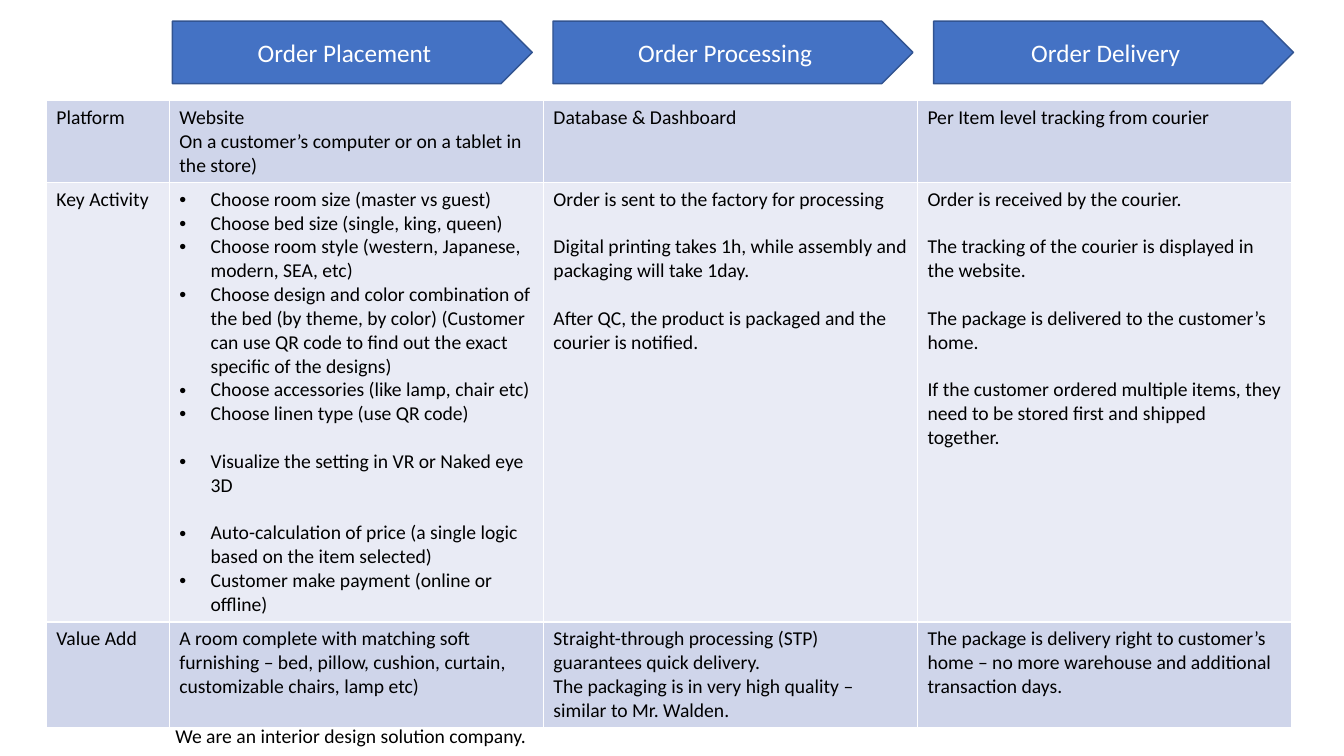
from lxml import etree
from pptx import Presentation
from pptx.dml.color import RGBColor
from pptx.enum import shapes, text
from pptx.oxml import ns
from pptx.util import Inches, Pt

COLORS = {
    "arrow": "4472C4",
    "arrow_line": "325491",
    "band_dark": "CFD5EA",
    "band_light": "E9EBF5",
    "white": "FFFFFF",
    "black": "000000",
}
STAGES = ["Order Placement", "Order Processing", "Order Delivery"]
COLUMN_WIDTHS = [1.22, 3.71, 3.71, 3.71]
ROW_HEIGHTS = [0.81, 4.36, 1.05]
BULLETED_CELL = (1, 1)
GROUP_GAP = Pt(17)

ROWS = [
    [
        [["Platform"]],
        [["Website", "On a customer’s computer or on a tablet in the store)"]],
        [["Database & Dashboard"]],
        [["Per Item level tracking from courier"]],
    ],
    [
        [["Key Activity"]],
        [
            [
                "Choose room size (master vs guest)",
                "Choose bed size (single, king, queen)",
                "Choose room style (western, Japanese, modern, SEA, etc)",
                "Choose design and color combination of the bed (by theme, by color) "
                "(Customer can use QR code to find out the exact specific of the designs)",
                "Choose accessories (like lamp, chair etc)",
                "Choose linen type (use QR code)",
            ],
            ["Visualize the setting in VR or Naked eye 3D"],
            [
                "Auto-calculation of price (a single logic based on the item selected)",
                "Customer make payment (online or offline)",
            ],
        ],
        [
            ["Order is sent to the factory for processing"],
            ["Digital printing takes 1h, while assembly and packaging will take 1day."],
            ["After QC, the product is packaged and the courier is notified."],
        ],
        [
            ["Order is received by the courier."],
            ["The tracking of the courier is displayed in the website."],
            ["The package is delivered to the customer’s home."],
            ["If the customer ordered multiple items, they need to be stored first "
             "and shipped together."],
        ],
    ],
    [
        [["Value Add"]],
        [["A room complete with matching soft furnishing – bed, pillow, cushion, "
          "curtain, customizable chairs, lamp etc)"]],
        [[
            "Straight-through processing (STP) guarantees quick delivery.",
            "The packaging is in very high quality – similar to Mr. Walden.",
        ]],
        [["The package is delivery right to customer’s home – no more warehouse "
          "and additional transaction days."]],
    ],
]


def set_font(paragraph, size, color):
    paragraph.font.name = "Calibri"
    paragraph.font.size = Pt(size)
    paragraph.font.color.rgb = RGBColor.from_string(COLORS[color])


def add_bullet(paragraph):
    properties = paragraph._p.get_or_add_pPr()
    properties.set("marL", str(Inches(0.31)))
    properties.set("indent", str(-Inches(0.31)))
    etree.SubElement(properties, ns.qn("a:buFont")).set("typeface", "Arial")
    etree.SubElement(properties, ns.qn("a:buChar")).set("char", "•")


presentation = Presentation()
presentation.slide_width = Inches(13.33)
presentation.slide_height = Inches(7.5)
slide = presentation.slides.add_slide(presentation.slide_layouts[6])

for index, stage in enumerate(STAGES):
    arrow = slide.shapes.add_shape(
        shapes.MSO_SHAPE.PENTAGON,
        Inches(1.71 + index * 3.775), Inches(0.21), Inches(3.57), Inches(0.62),
    )
    arrow.shadow.inherit = False
    arrow.fill.solid()
    arrow.fill.fore_color.rgb = RGBColor.from_string(COLORS["arrow"])
    arrow.line.color.rgb = RGBColor.from_string(COLORS["arrow_line"])
    arrow.line.width = Pt(1)
    arrow.text_frame.vertical_anchor = text.MSO_ANCHOR.MIDDLE
    paragraph = arrow.text_frame.paragraphs[0]
    paragraph.text = stage
    paragraph.alignment = text.PP_ALIGN.CENTER
    set_font(paragraph, 18, "white")

table = slide.shapes.add_table(
    len(ROWS), len(COLUMN_WIDTHS), Inches(0.46), Inches(1),
    Inches(sum(COLUMN_WIDTHS)), Inches(sum(ROW_HEIGHTS)),
).table
table.first_row = False
for column, width in zip(table.columns, COLUMN_WIDTHS):
    column.width = Inches(width)
for row, height in zip(table.rows, ROW_HEIGHTS):
    row.height = Inches(height)

for row_index, row_cells in enumerate(ROWS):
    band = "band_light" if row_index % 2 else "band_dark"
    for column_index, groups in enumerate(row_cells):
        cell = table.cell(row_index, column_index)
        cell.fill.solid()
        cell.fill.fore_color.rgb = RGBColor.from_string(COLORS[band])
        paragraph = cell.text_frame.paragraphs[0]
        for group_index, group in enumerate(groups):
            for line_index, line in enumerate(group):
                if group_index or line_index:
                    paragraph = cell.text_frame.add_paragraph()
                paragraph.text = line
                if (row_index, column_index) == BULLETED_CELL:
                    add_bullet(paragraph)
                if group_index and line_index == 0:
                    paragraph.space_before = GROUP_GAP
                set_font(paragraph, 14, "black")

tagline = slide.shapes.add_textbox(Inches(1.64), Inches(7.13), Inches(3.72), Inches(0.34))
tagline.text_frame.word_wrap = False
tagline.text_frame.auto_size = text.MSO_AUTO_SIZE.SHAPE_TO_FIT_TEXT
paragraph = tagline.text_frame.paragraphs[0]
paragraph.text = "We are an interior design solution company."
set_font(paragraph, 14, "black")

presentation.save("out.pptx")
